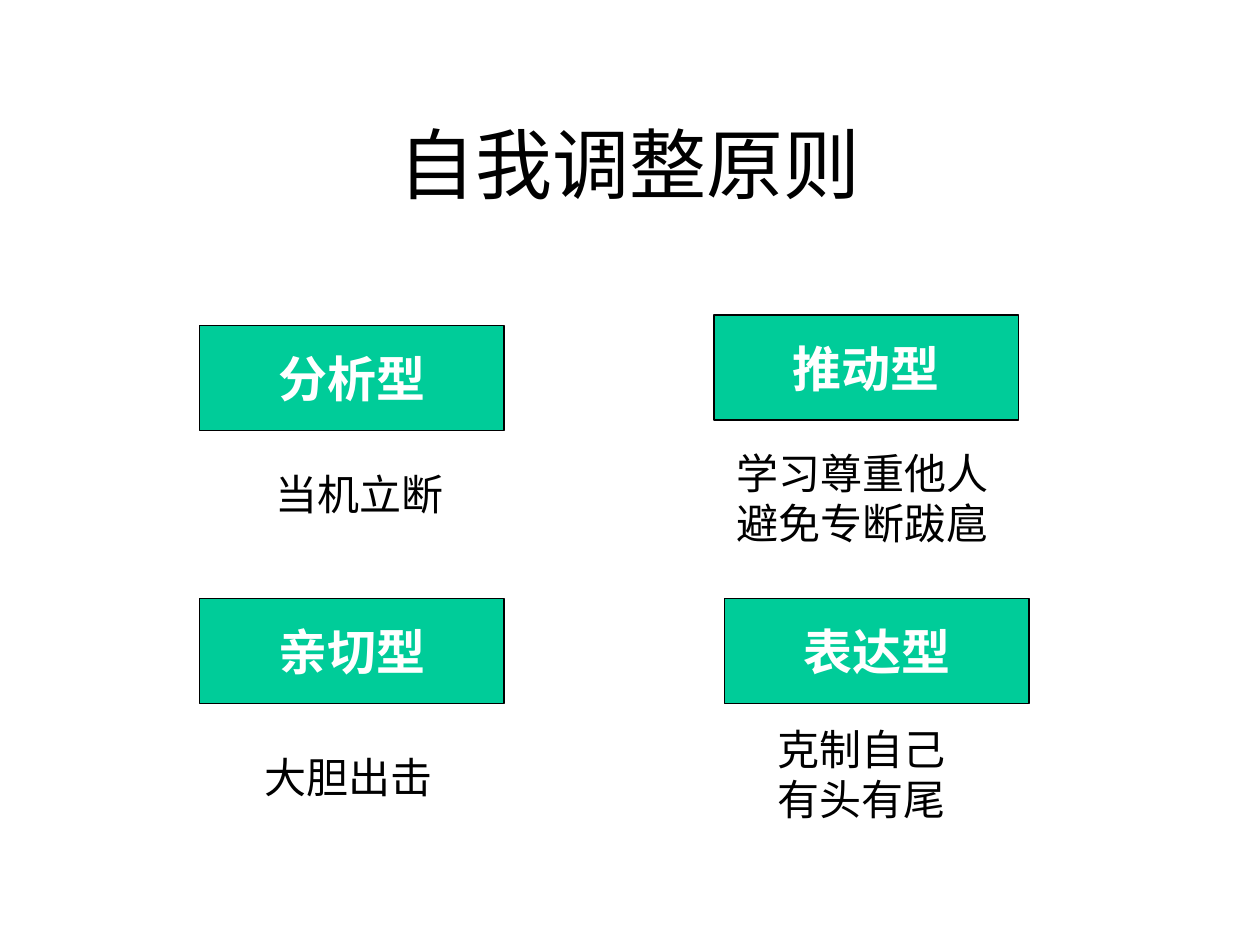
from pptx import Presentation
from pptx.dml.color import RGBColor
from pptx.enum.shapes import MSO_SHAPE
from pptx.enum.text import MSO_ANCHOR, MSO_AUTO_SIZE, PP_ALIGN
from pptx.util import Pt

BLACK = RGBColor(0x00, 0x00, 0x00)
WHITE = RGBColor(0xFF, 0xFF, 0xFF)
GREEN = RGBColor(0x00, 0xCC, 0x99)
RECTANGLE = MSO_SHAPE.RECTANGLE
TOP, MIDDLE = MSO_ANCHOR.TOP, MSO_ANCHOR.MIDDLE
LEFT, CENTER = PP_ALIGN.LEFT, PP_ALIGN.CENTER
GROW, FIXED = MSO_AUTO_SIZE.SHAPE_TO_FIT_TEXT, MSO_AUTO_SIZE.NONE

TITLE_FONT = {"name": "Times New Roman", "size": Pt(44), "bold": False}
STYLE_FONT = {"name": "Times New Roman", "size": Pt(28), "bold": True}
ADVICE_FONT = {"name": "Times New Roman", "size": Pt(24), "bold": False}


def write(holder, text, font, color, align, frame_format):
    frame = holder.text_frame
    frame.text = text
    for key, value in frame_format.items():
        setattr(frame, key, value)
    for paragraph in frame.paragraphs:
        paragraph.alignment = align
        for key, value in font.items():
            setattr(paragraph.font, key, value)
        paragraph.font.color.rgb = color


presentation = Presentation()
presentation.slide_width = Pt(720)
presentation.slide_height = Pt(540)
slide = presentation.slides.add_slide(presentation.slide_layouts[6])

title = slide.shapes.add_textbox(Pt(54), Pt(48), Pt(612), Pt(90))
write(title, "自我调整原则", TITLE_FONT, BLACK, CENTER,
      {"word_wrap": True, "auto_size": FIXED, "vertical_anchor": MIDDLE})

styles = [
    ("分析型", 114, 186),
    ("表达型", 414, 342),
    ("亲切型", 114, 342),
    ("推动型", 408, 180),
]
for name, left, top in styles:
    style = slide.shapes.add_shape(RECTANGLE, Pt(left), Pt(top), Pt(174), Pt(60))
    style.shadow.inherit = False
    style.fill.solid()
    style.fill.fore_color.rgb = GREEN
    style.line.color.rgb = BLACK
    style.line.width = Pt(0.75)
    write(style, name, STYLE_FONT, WHITE, CENTER,
          {"word_wrap": False, "auto_size": FIXED, "vertical_anchor": MIDDLE})

advice_texts = [
    ("当机立断", 150.5, 264, 111, 36),
    ("大胆出击", 144, 426, 111, 36),
    ("学习尊重他人\n避免专断跋扈", 414, 252, 159, 65),
    ("克制自己\n有头有尾", 437, 409.7, 111, 65),
]
for text, left, top, width, height in advice_texts:
    advice = slide.shapes.add_textbox(Pt(left), Pt(top), Pt(width), Pt(height))
    write(advice, text, ADVICE_FONT, BLACK, LEFT,
          {"word_wrap": False, "auto_size": GROW, "vertical_anchor": TOP})

presentation.save("out.pptx")
